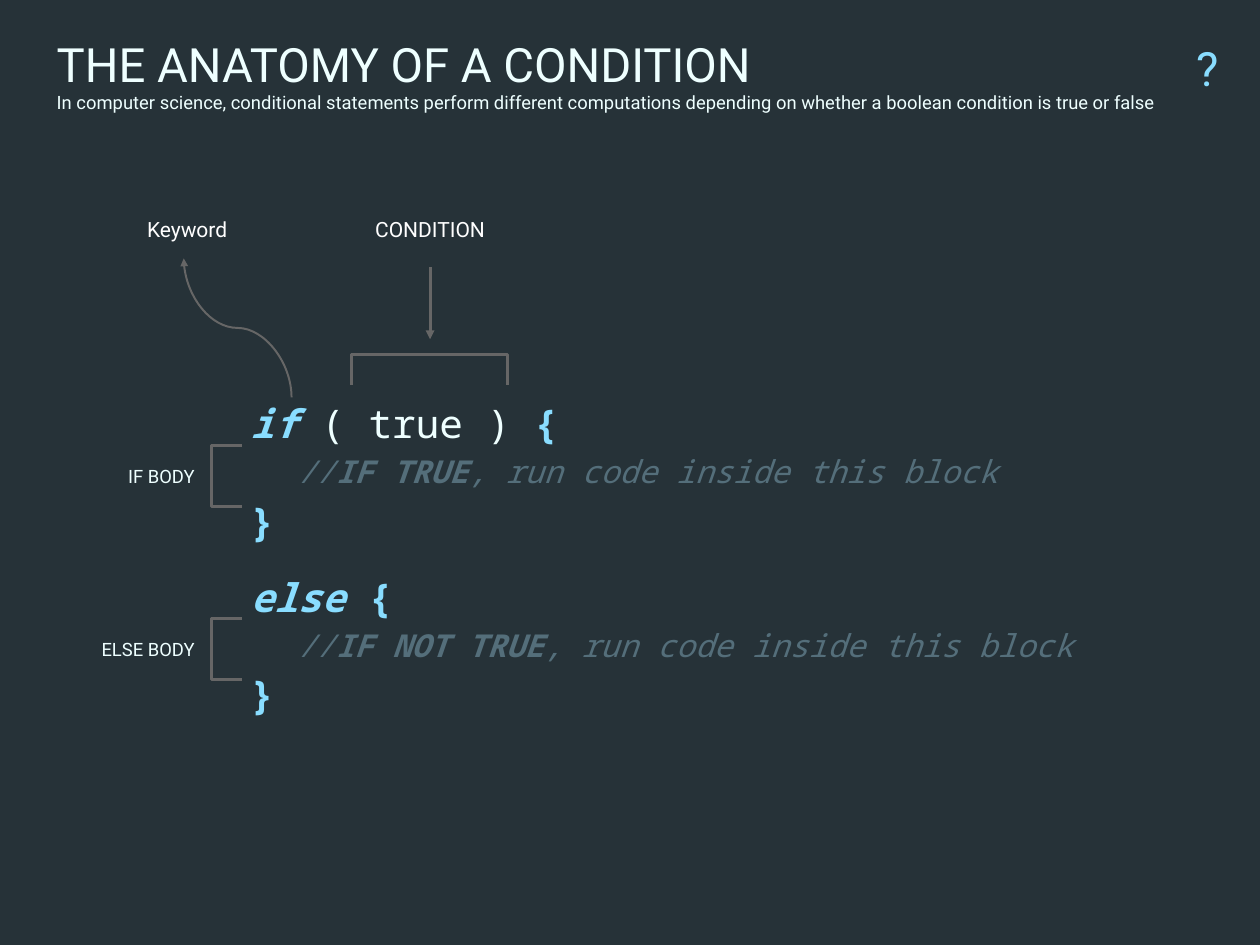
from lxml.etree import SubElement
from pptx import Presentation
from pptx.dml.color import RGBColor
from pptx.enum.shapes import MSO_CONNECTOR
from pptx.enum.text import MSO_ANCHOR, MSO_AUTO_SIZE, PP_ALIGN
from pptx.oxml.ns import qn
from pptx.util import Inches, Pt

THEME = dict(
    bg="263238", text="EEFFFF", label="FFFFFF", accent="89DDFF", comment="546E7A", line="666666",
    sans="Roboto", mono="Noto Sans Mono",
    title=36, code=30, note=24, callout=16, small=14,
)

TITLE = "THE ANATOMY OF A CONDITION"
SUBTITLE = ("In computer science, conditional statements perform different computations "
            "depending on whether a boolean condition is true or false")

KEYWORD = dict(color="accent", bold=True, italic=True)
BRACE = dict(color="accent", bold=True)
COMMENT = dict(size="note", color="comment", italic=True)
STRONG = dict(COMMENT, bold=True)

BLOCKS = [
    ([("if", KEYWORD), (" ( true ) ", {}), ("{", BRACE)], "IF TRUE"),
    ([("else ", KEYWORD), ("{", BRACE)], "IF NOT TRUE"),
]
BLOCK_GAP = 16.4

LABELS = [
    ("Keyword", (1.26, 2.19, 1.44, 0.46), PP_ALIGN.CENTER, dict(size="callout", color="label")),
    ("CONDITION", (3.86, 2.19, 1.38, 0.46), PP_ALIGN.CENTER, dict(size="callout", color="label")),
    ("?", (12.26, 0.33, 0.73, 0.78), PP_ALIGN.RIGHT, dict(size="title", color="accent")),
    ("IF BODY", (1.02, 4.83, 1.14, 0.42), PP_ALIGN.RIGHT, dict(size="small")),
    ("ELSE BODY", (0.92, 6.66, 1.24, 0.42), PP_ALIGN.RIGHT, dict(size="small")),
]

CONDITION_BRACKET = [(3.72, 4.07), (3.72, 3.75), (5.37, 3.75), (5.37, 4.07)]
BODY_TOPS = [4.71, 6.54]
BODY_LEFT, BODY_DEPTH, BODY_HEIGHT = 2.24, 0.32, 0.65


def add_run(p, text, size="code", color="text", font="mono", bold=False, italic=False):
    r = p.add_run()
    r.text = text
    r.font.name = THEME[font]
    r.font.size = Pt(THEME[size])
    r.font.bold, r.font.italic = bold, italic
    r.font.color.rgb = RGBColor.from_string(THEME[color])


def set_frame(sp, box, margin=0.1, anchor=MSO_ANCHOR.MIDDLE):
    sp.left, sp.top, sp.width, sp.height = map(Inches, box)
    tf = sp.text_frame
    tf.word_wrap = True
    tf.auto_size = MSO_AUTO_SIZE.NONE
    tf.vertical_anchor = anchor
    tf.margin_left = tf.margin_right = tf.margin_top = tf.margin_bottom = Inches(margin)
    return tf


def add_box(s, box, **frame):
    return set_frame(s.shapes.add_textbox(0, 0, 0, 0), box, **frame)


def style_line(sp, width):
    sp.line.color.rgb = RGBColor.from_string(THEME["line"])
    sp.line.width = Pt(width)


def add_arrow(s, kind, start, end, width):
    c = s.shapes.add_connector(kind, *map(Inches, start + end))
    style_line(c, width)
    SubElement(c.line._get_or_add_ln(), qn("a:tailEnd"), type="triangle")
    SubElement(c._element.spPr, qn("a:effectLst"))
    return c


def add_bracket(s, points):
    start, *rest = [(Inches(x), Inches(y)) for x, y in points]
    fb = s.shapes.build_freeform(*start)
    fb.add_line_segments(rest, close=False)
    sp = fb.convert_to_shape()
    sp.shadow.inherit = False
    sp.fill.background()
    style_line(sp, 2.25)


def add_code(s):
    tf = add_box(s, (2.65, 4.15, 9.78, 3.38), margin=0, anchor=MSO_ANCHOR.TOP)
    for i, (opening, condition) in enumerate(BLOCKS):
        comment = [("//", COMMENT), (condition, STRONG), (", run code inside this block", COMMENT)]
        for j, runs in enumerate([opening, comment, [("}", BRACE)]]):
            p = tf.add_paragraph() if i or j else tf.paragraphs[0]
            p.line_spacing = 1.15
            if runs is comment:
                p._p.get_or_add_pPr().set("indent", str(Inches(0.5)))
            if i and j == 0:
                p.space_before = Pt(BLOCK_GAP)
            for text, fmt in runs:
                add_run(p, text, **fmt)


def main():
    prs = Presentation()
    prs.slide_width, prs.slide_height = Inches(13.33), Inches(10)
    s = prs.slides.add_slide(prs.slide_layouts[5])
    s.background.fill.solid()
    s.background.fill.fore_color.rgb = RGBColor.from_string(THEME["bg"])

    tf = set_frame(s.shapes.title, (0.5, 0.28, 12.25, 1.01))
    for p, text, size in ((tf.paragraphs[0], TITLE, "title"), (tf.add_paragraph(), SUBTITLE, "small")):
        p.alignment = PP_ALIGN.LEFT
        add_run(p, text, size=size, font="sans")

    add_code(s)
    for text, box, align, fmt in LABELS:
        p = add_box(s, box).paragraphs[0]
        p.alignment = align
        add_run(p, text, font="sans", **fmt)

    curve = add_arrow(s, MSO_CONNECTOR.CURVE, (3.25, 2.9), (1.78, 4.04), 1.5)
    curve._element.spPr.find(qn("a:xfrm")).set("rot", str(90 * 60000))
    add_arrow(s, MSO_CONNECTOR.STRAIGHT, (4.55, 2.83), (4.55, 3.59), 2.25)

    add_bracket(s, CONDITION_BRACKET)
    for top in BODY_TOPS:
        right, bottom = BODY_LEFT + BODY_DEPTH, top + BODY_HEIGHT
        add_bracket(s, [(right, bottom), (BODY_LEFT, bottom), (BODY_LEFT, top), (right, top)])

    prs.save("out.pptx")


if __name__ == "__main__":
    main()
